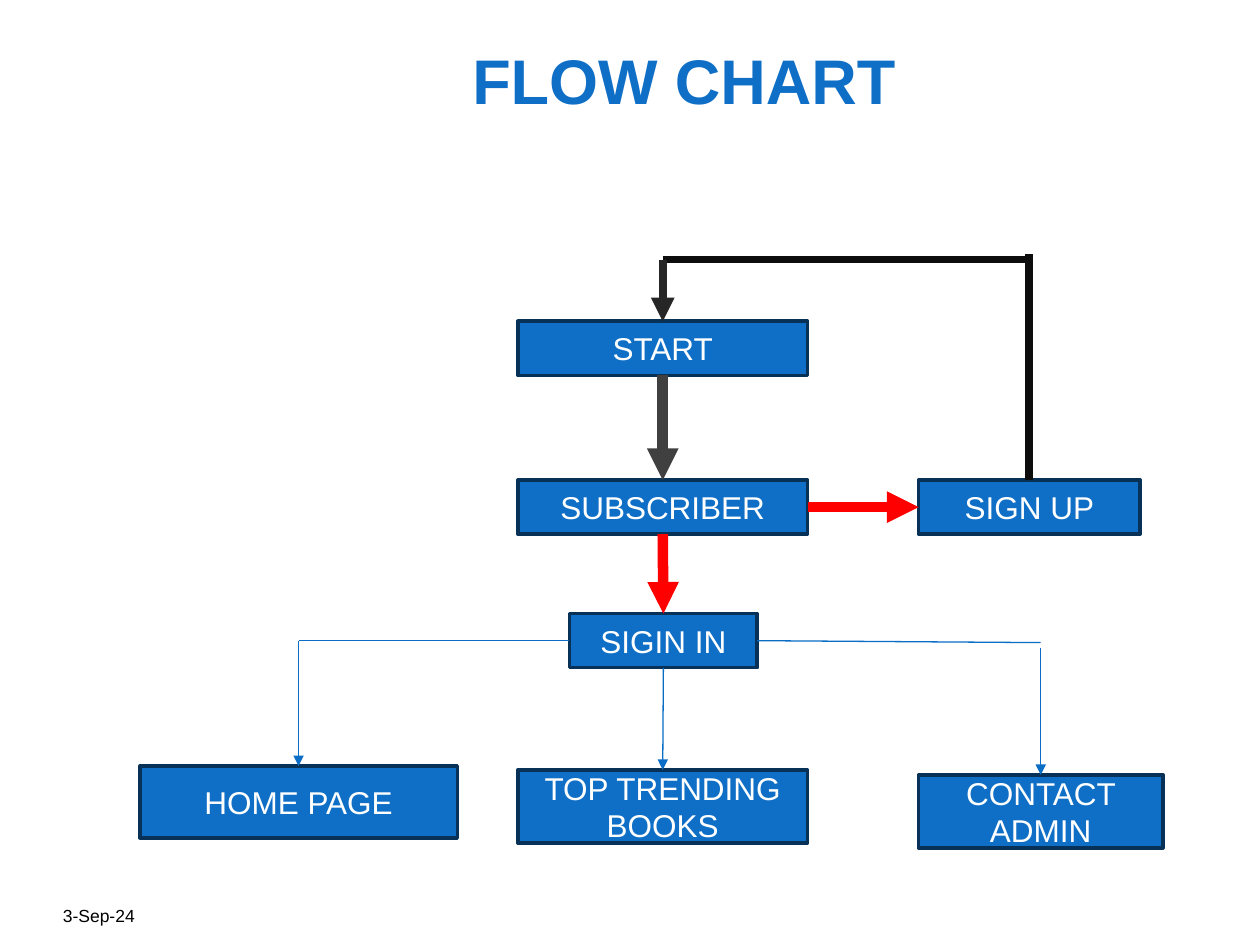
"""Build the flow chart slide of a book site."""
from lxml import etree
from pptx import Presentation, util as u
from pptx.dml.color import RGBColor
from pptx.enum import shapes, text
from pptx.oxml.ns import qn

MID, LEFT, RIGHT = 4.11, 1.11, 7.29
WIDE, LOW, TALL = 2.3, 0.43, 0.58
BLUE, EDGE, THIN = "0F6FC6", "073157", "0A6DC6"

BOXES = {
    "START": (MID, 2.55, WIDE, LOW),
    "SUBSCRIBER": (MID, 3.81, WIDE, LOW),
    "SIGIN IN": (4.52, 4.87, 1.49, LOW),
    "SIGN UP": (RIGHT, 3.81, 1.76, LOW),
    "HOME PAGE": (LEFT, 6.08, 2.52, 0.57),
    "TOP TRENDING BOOKS": (MID, 6.11, WIDE, TALL),
    "CONTACT ADMIN": (RIGHT, 6.15, 1.94, TALL),
}
LABELS = [
    ("3-Sep-24", (0.5, 6.95, 2.33, 0.4), 10, "000000", False, "BOTTOM", 0),
    ("FLOW CHART", (3.65, 0.28, 4.25, 0.71), 36, BLUE, True, "TOP", None),
]


def spot(name, side):
    """Return the middle of one side of a named box."""
    x, y, w, h = BOXES[name]
    dx, dy = {"top": (0.5, 0), "base": (0.5, 1),
              "left": (0, 0.5), "right": (1, 0.5)}[side]
    return x + w * dx, y + h * dy


def paint(hue):
    """Turn a hex string into a colour."""
    return RGBColor.from_string(hue)


def write(shape, words, size, hue, bold=False, side="LEFT", anchor="MIDDLE"):
    """Put one run of text into a shape."""
    frame = shape.text_frame
    frame.word_wrap = True
    frame.vertical_anchor = getattr(text.MSO_ANCHOR, anchor)
    para = frame.paragraphs[0]
    para.alignment = getattr(text.PP_ALIGN, side)
    run = para.add_run()
    run.text = words
    font = run.font
    font.name, font.size, font.bold = "Arial", u.Pt(size), bold
    font.color.rgb = paint(hue)


def box(slide, words, area):
    """Draw one step of the flow."""
    shape = slide.shapes.add_shape(shapes.MSO_SHAPE.RECTANGLE, *map(u.Inches, area))
    shape.shadow.inherit = False
    shape.fill.solid()
    shape.fill.fore_color.rgb = paint(BLUE)
    shape.line.color.rgb = paint(EDGE)
    shape.line.width = u.Pt(2)
    write(shape, words, 18, "FFFFFF", side="CENTER")


def label(slide, words, area, size, hue, bold, anchor, inset):
    """Draw one free text."""
    shape = slide.shapes.add_textbox(*map(u.Inches, area))
    frame = shape.text_frame
    if inset is not None:
        frame.margin_left = frame.margin_right = inset
        frame.margin_top = frame.margin_bottom = inset
    write(shape, words, size, hue, bold, anchor=anchor)


def link(slide, start, end, hue, width, arrow):
    """Draw one straight line, with or without an arrowhead."""
    ends = map(u.Inches, (*start, *end))
    line = slide.shapes.add_connector(shapes.MSO_CONNECTOR.STRAIGHT, *ends)
    line.line.color.rgb = paint(hue)
    line.line.width = u.Pt(width)
    if arrow:
        etree.SubElement(line.line._get_or_add_ln(), qn("a:tailEnd"), type="triangle")
    etree.SubElement(line._element.spPr, qn("a:effectLst"))


def links():
    """List the lines between the steps."""
    start, home = spot("START", "top"), spot("HOME PAGE", "top")
    admin, sign = spot("CONTACT ADMIN", "top"), spot("SIGN UP", "top")
    left, right = spot("SIGIN IN", "left"), spot("SIGIN IN", "right")
    bend, loop = (home[0], left[1]), (start[0], 2.06)
    return [
        (spot("START", "base"), spot("SUBSCRIBER", "top"), "404040", 6, True),
        (spot("SUBSCRIBER", "right"), spot("SIGN UP", "left"), "FF0000", 6, True),
        (spot("SUBSCRIBER", "base"), spot("SIGIN IN", "top"), "FF0000", 6, True),
        (spot("SIGIN IN", "base"), spot("TOP TRENDING BOOKS", "top"), THIN, 0.75, True),
        (bend, left, THIN, 0.75, False),
        (bend, home, THIN, 0.75, True),
        (right, (admin[0], 5.1), THIN, 0.75, False),
        ((admin[0], 5.14), admin, THIN, 0.75, True),
        (sign, (sign[0], 2.02), "0D0D0D", 4.5, False),
        (loop, (sign[0], loop[1]), "0D0D0D", 4.5, False),
        (loop, start, "262626", 4.5, True),
    ]


def main():
    """Build and save the slide."""
    deck = Presentation()
    deck.slide_width, deck.slide_height = u.Inches(10), u.Inches(7.5)
    slide = deck.slides.add_slide(deck.slide_layouts[6])
    for words, area in BOXES.items():
        box(slide, words, area)
    for item in links():
        link(slide, *item)
    for item in LABELS:
        label(slide, *item)
    deck.save("out.pptx")


if __name__ == "__main__":
    main()
